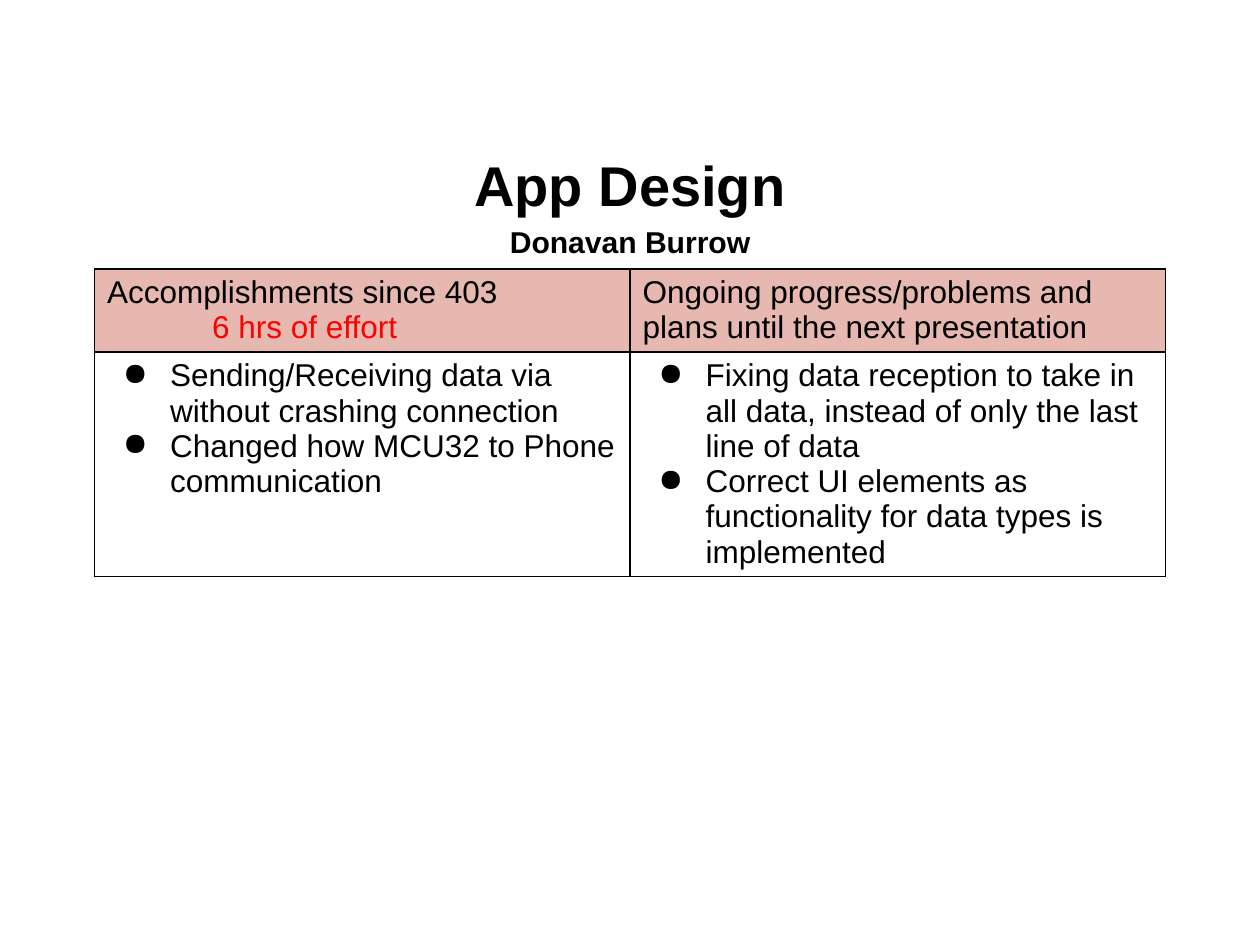
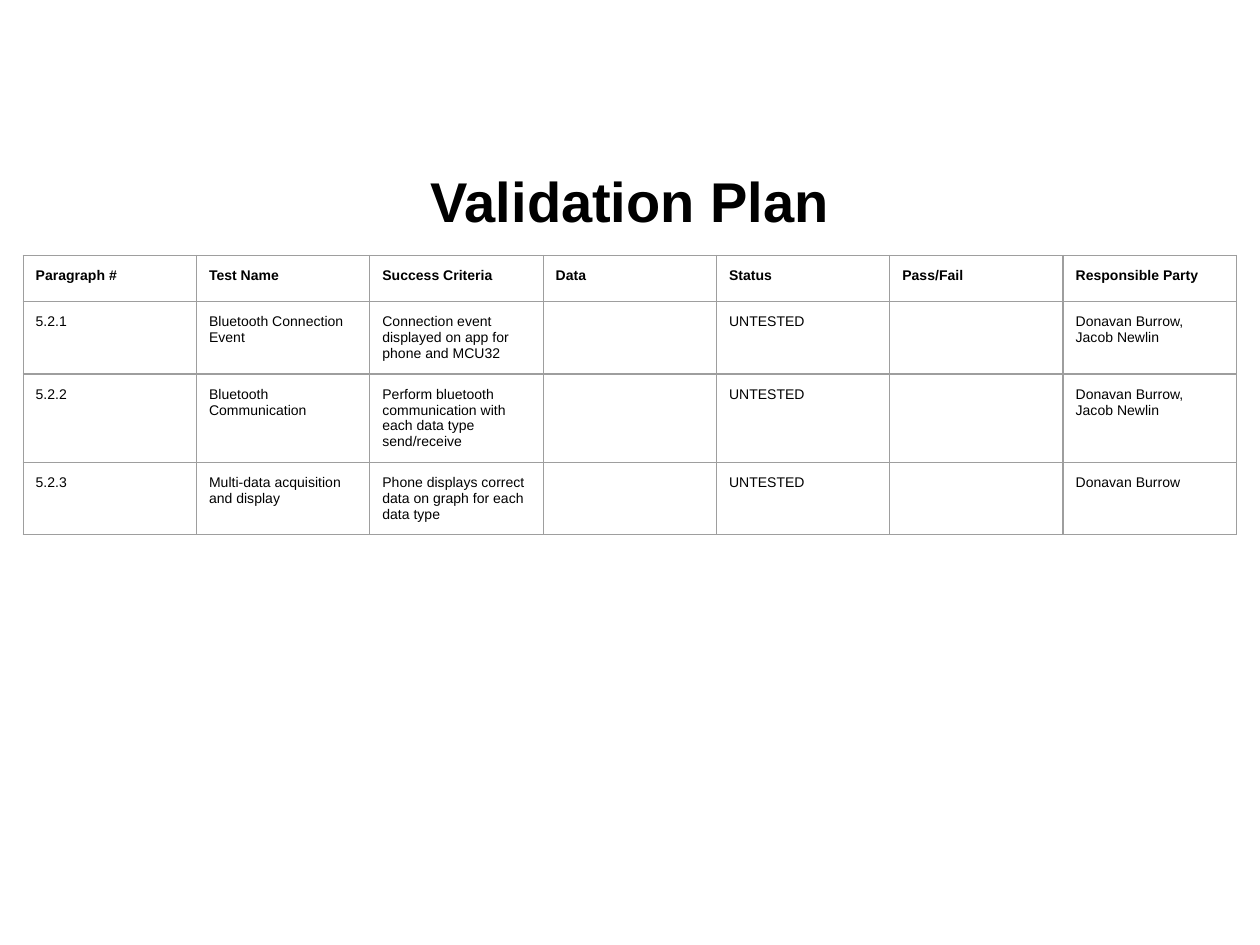
"""Build the app design and validation plan slides."""
import pptx
import pptx.dml.color
import pptx.enum.text
import pptx.oxml
import pptx.oxml.ns
import pptx.util

Pt = pptx.util.Pt
INK = {"text": "000000", "effort": "FF0000", "head": "E6B8AF", "grid": "9E9E9E"}
FACE = "Arial"
TITLE = (36, 82.8, 648, 63)

GOALS = [
    ["Accomplishments since 403\n6 hrs of effort",
     "Ongoing progress/problems and plans until the next presentation"],
    ["Sending/Receiving data via without crashing connection\n"
     "Changed how MCU32 to Phone communication",
     "Fixing data reception to take in all data, instead of only the last line of data\n"
     "Correct UI elements as functionality for data types is implemented"],
]
TESTS = [
    ["Paragraph #", "Test Name", "Success Criteria", "Data", "Status", "Pass/Fail",
     "Responsible Party"],
    ["5.2.1", "Bluetooth Connection Event",
     "Connection event displayed on app for phone and MCU32",
     "", "UNTESTED", "", "Donavan Burrow,\nJacob Newlin"],
    ["5.2.2", "Bluetooth Communication",
     "Perform bluetooth communication with each data type send/receive",
     "", "UNTESTED", "", "Donavan Burrow,\nJacob Newlin"],
    ["5.2.3", "Multi-data acquisition and display",
     "Phone displays correct data on graph for each data type",
     "", "UNTESTED", "", "Donavan Burrow"],
]


def color(name):
    """Return the named colour."""
    return pptx.dml.color.RGBColor.from_string(INK[name])


def style(para, size, bold=False, ink="text"):
    """Set the font of a paragraph."""
    font = para.font
    font.name, font.size, font.bold = FACE, Pt(size), bold
    font.color.rgb = color(ink)


def indent(para, left, hang=0):
    """Indent a paragraph, with a bullet if it hangs."""
    props = para._p.get_or_add_pPr()
    props.set("marL", str(Pt(left)))
    props.set("indent", str(-Pt(hang)))
    if hang:
        mark = pptx.oxml.parse_xml(
            f'<a:buChar {pptx.oxml.ns.nsdecls("a")} char="●"/>')
        props.insert(0, mark)


def border(cell, ink, width):
    """Draw a line on all four sides of a cell."""
    props = cell._tc.get_or_add_tcPr()
    for place, side in enumerate("LRTB"):
        line = pptx.oxml.parse_xml(
            f'<a:ln{side} {pptx.oxml.ns.nsdecls("a")} w="{Pt(width)}">'
            f'<a:solidFill><a:srgbClr val="{INK[ink]}"/></a:solidFill></a:ln{side}>')
        props.insert(place, line)


def title(slide, box, lines, space=1.0):
    """Fill the title with (text, size) lines."""
    shape = slide.shapes.title
    shape.left, shape.top, shape.width, shape.height = map(Pt, box)
    frame = shape.text_frame
    frame.auto_size = pptx.enum.text.MSO_AUTO_SIZE.NONE
    frame.vertical_anchor = pptx.enum.text.MSO_ANCHOR.MIDDLE
    frame.text = "\n".join(text for text, _ in lines)
    for para, (_, size) in zip(frame.paragraphs, lines):
        style(para, size, True)
        para.alignment = pptx.enum.text.PP_ALIGN.CENTER
        para.line_spacing = space


def grid(slide, box, data, rows, size, ink, width, inset):
    """Add a plain table with equal columns and return it."""
    cols = len(data[0])
    table = slide.shapes.add_table(len(data), cols, *map(Pt, box)).table
    table.first_row = table.horz_banding = False
    for col in table.columns:
        col.width = Pt(box[2] / cols)
    for row, high, texts in zip(table.rows, rows, data):
        row.height = Pt(high)
        for cell, text in zip(row.cells, texts):
            cell.text = text
            cell.margin_top = cell.margin_bottom = Pt(inset)
            cell.fill.background()
            border(cell, ink, width)
            for para in cell.text_frame.paragraphs:
                style(para, size)
    return table


def design(slide):
    """Build the progress slide."""
    title(slide, TITLE, [("App Design", 32), ("Donavan Burrow", 17.2)], 1.15)
    rows = [47.4, 128.4]
    table = grid(slide, (54, 153.6, 612, sum(rows)), GOALS, rows, 18, "text", 1, 3.6)
    for head, body in zip(table.rows[0].cells, table.rows[1].cells):
        head.fill.solid()
        head.fill.fore_color.rgb = color("head")
        for para in body.text_frame.paragraphs:
            indent(para, 36, 27)
    effort = table.cell(0, 0).text_frame.paragraphs[1]
    style(effort, 18, ink="effort")
    indent(effort, 60)


def plan(slide):
    """Build the validation slide."""
    title(slide, TITLE, [("Validation Plan", 32)])
    rows = [26.2, 41.2, 50.4, 41.2]
    table = grid(slide, (13.2, 146, 693.4, sum(rows)), TESTS, rows, 8, "grid", 0.75, 7.2)
    for cell in table.rows[0].cells:
        style(cell.text_frame.paragraphs[0], 8, True)


def main():
    """Build and save the slides."""
    deck = pptx.Presentation()
    deck.slide_width, deck.slide_height = Pt(720), Pt(540)
    for build in (design, plan):
        build(deck.slides.add_slide(deck.slide_layouts[5]))
    deck.save("out.pptx")


if __name__ == "__main__":
    main()
